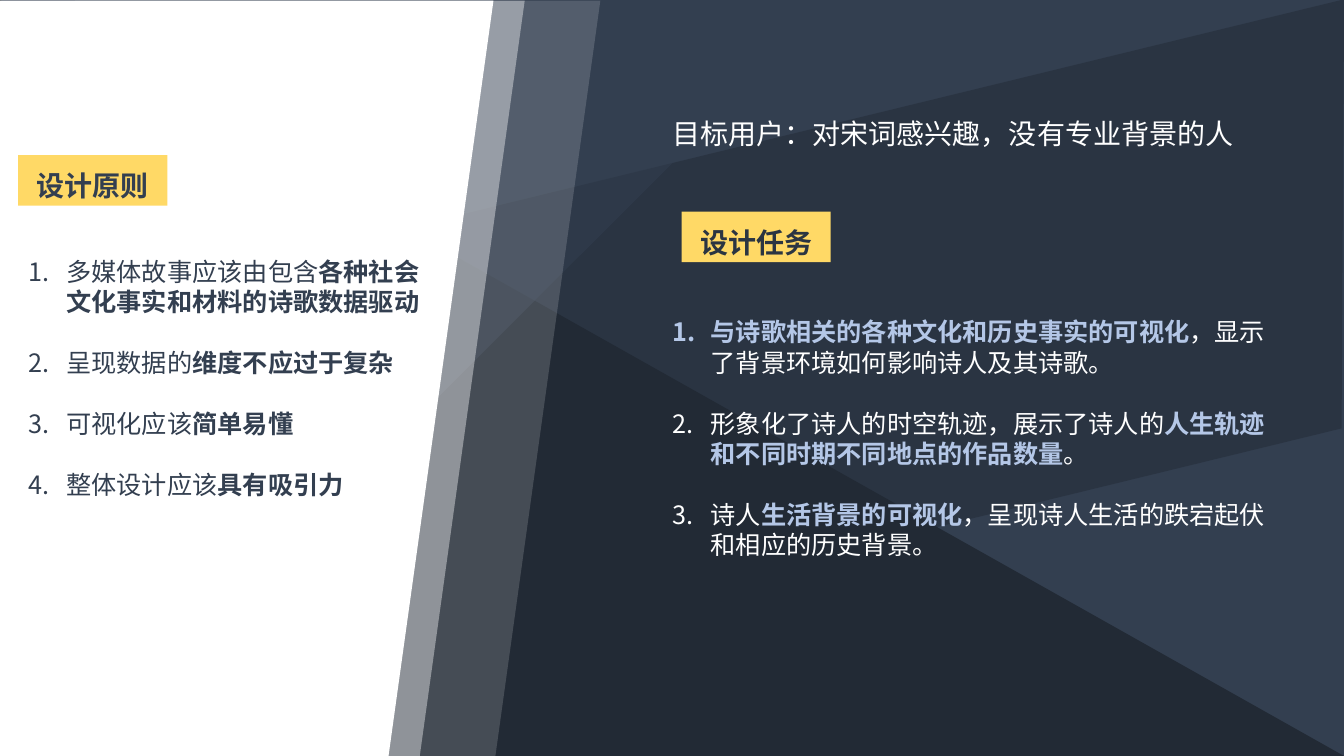
from pptx import Presentation
from pptx.dml.color import RGBColor
from pptx.enum.shapes import MSO_SHAPE
from pptx.enum.text import MSO_ANCHOR, PP_ALIGN
from pptx.oxml.ns import qn
from pptx.util import Inches, Pt
from lxml import etree

TRIANGLE = MSO_SHAPE.RIGHT_TRIANGLE
PEAK = MSO_SHAPE.ISOSCELES_TRIANGLE
PARALLELOGRAM = MSO_SHAPE.PARALLELOGRAM
SLANTED = MSO_SHAPE.FLOWCHART_MANUAL_INPUT
RECTANGLE = MSO_SHAPE.RECTANGLE
CENTER, MIDDLE = PP_ALIGN.CENTER, MSO_ANCHOR.MIDDLE

FONT = "Noto Sans CJK SC"
NAVY, DARK, INK = "333F50", "222A35", "2B3542"
WHITE, PALE_BLUE, YELLOW = "FFFFFF", "B4C7E7", "FFD966"

AUDIENCE = "目标用户：对宋词感兴趣，没有专业背景的人"
LABELS = [("设计原则", 0.18, 1.54, NAVY), ("设计任务", 6.76, 2.1, INK)]
PRINCIPLES = [
    [("多媒体故事应该由包含", False), ("各种社会文化事实和材料的诗歌数据驱动", True)],
    [("呈现数据的", False), ("维度不应过于复杂", True)],
    [("可视化应该", False), ("简单易懂", True)],
    [("整体设计应该", False), ("具有吸引力", True)],
]
TASKS = [
    [("与诗歌相关的各种文化和历史事实的可视化", True),
     ("，显示了背景环境如何影响诗人及其诗歌。", False)],
    [("形象化了诗人的时空轨迹，展示了诗人的", False),
     ("人生轨迹和不同时期不同地点的作品数量", True), ("。", False)],
    [("诗人", False), ("生活背景的可视化", True),
     ("，呈现诗人生活的跌宕起伏和相应的历史背景。", False)],
]
FACETS = [
    (PEAK, (0, 0, 13.33, 7.5), 0, 0, DARK, 100),
    (PARALLELOGRAM, (-0.71, 1.68, 14.74, 4.13), 346.3, None, DARK, 50),
    (PEAK, (1.18, -1.16, 5.41, 11.12), 199.1, 1, NAVY, 50),
]
BANDS = [(-0.4, 16), (-1.15, 40), (-1.46, 100)]
LINE, INDENT = 21.75, 0.38


def color(hex_value):
    return RGBColor.from_string(hex_value)


def add_filled(kind, box, fill, opacity=100):
    shape = slide.shapes.add_shape(kind, *map(Inches, box))
    shape.shadow.inherit = False
    shape.fill.solid()
    shape.fill.fore_color.rgb = color(fill)
    shape.line.fill.background()
    if opacity < 100:
        tint = shape.fill._xPr.find(qn("a:solidFill"))[0]
        etree.SubElement(tint, qn("a:alpha"), val=str(opacity * 1000))
    return shape


def add_run(paragraph, words, size, ink, bold=False):
    run = paragraph.add_run()
    run.text = words
    for key, value in {"size": Pt(size), "bold": bold, "name": FONT}.items():
        setattr(run.font, key, value)
    run.font.color.rgb = color(ink)
    etree.SubElement(run._r.get_or_add_rPr(), qn("a:ea"), typeface=FONT)


def add_text(box):
    frame = slide.shapes.add_textbox(*map(Inches, box)).text_frame
    frame.word_wrap = True
    return frame


def add_numbered(items, box, plain, strong):
    frame = add_text(box)
    for index, parts in enumerate(items):
        paragraph = frame.add_paragraph() if index else frame.paragraphs[0]
        paragraph.line_spacing = Pt(LINE)
        paragraph.space_before = Pt(LINE if index else 0)
        properties = paragraph._p.get_or_add_pPr()
        properties.set("marL", str(Inches(INDENT)))
        properties.set("indent", str(-Inches(INDENT)))
        etree.SubElement(properties, qn("a:buFont"), typeface="+mj-lt")
        etree.SubElement(properties, qn("a:buAutoNum"), type="arabicPeriod")
        for words, bold in parts:
            add_run(paragraph, words, 18, strong if bold else plain, bold)


deck = Presentation()
deck.slide_width, deck.slide_height = Inches(13.33), Inches(7.5)
slide = deck.slides.add_slide(deck.slide_layouts[6])
slide.background.fill.solid()
slide.background.fill.fore_color.rgb = color(NAVY)

for kind, box, turn, apex, fill, opacity in FACETS:
    facet = add_filled(kind, box, fill, opacity)
    facet.rotation = turn
    if apex is not None:
        facet.adjustments[0] = apex

for left, opacity in BANDS:
    band = add_filled(SLANTED, (left, 1.15, 7.5, 5.21), WHITE, opacity)
    band.rotation = 90
    band._element.spPr.find(qn("a:xfrm")).set("flipH", "1")

audience = add_text((6.57, 1.1, 5.85, 0.44)).paragraphs[0]
audience.line_spacing = Pt(24.2)
add_run(audience, AUDIENCE, 20, WHITE)

add_numbered(TASKS, (6.57, 3.09, 6.14, 2.52), WHITE, PALE_BLUE)
add_numbered(PRINCIPLES, (0.18, 2.49, 4.18, 2.52), NAVY, NAVY)

for words, left, top, ink in LABELS:
    label = add_filled(RECTANGLE, (left, top, 1.48, 0.5), YELLOW).text_frame
    label.vertical_anchor = MIDDLE
    heading = label.paragraphs[0]
    heading.alignment, heading.line_spacing = CENTER, 1.3
    add_run(heading, words, 20, ink, True)

deck.save("out.pptx")
